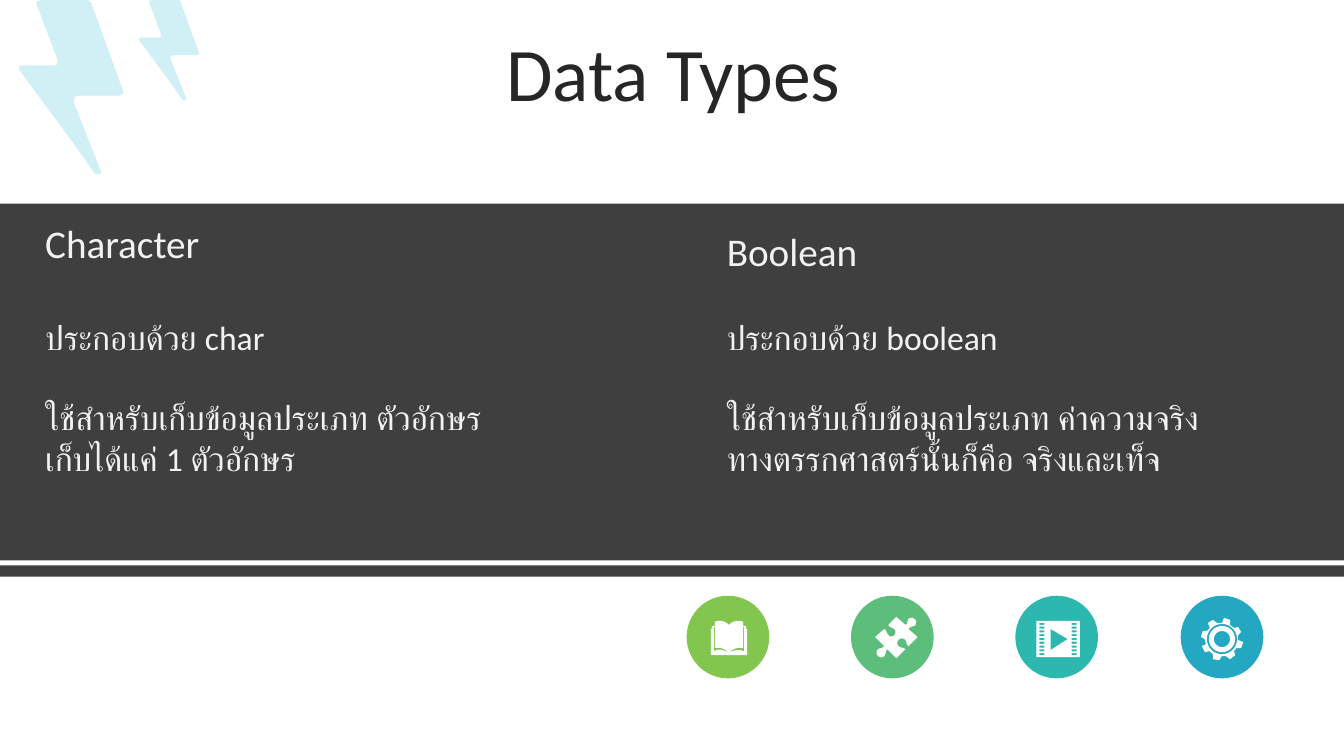
from dataclasses import dataclass
from math import cos, radians, sin

from pptx import Presentation
from pptx.dml.color import RGBColor
from pptx.enum.shapes import MSO_SHAPE
from pptx.enum.text import MSO_ANCHOR, PP_ALIGN
from pptx.util import Pt

PX = 9144  # EMU in one px, 100 px to the inch
FONT = "Calibri"
DARK, WHITE, LIGHT_TEXT, BOLT_BLUE = "3F3F3F", "FFFFFF", "F2F2F2", "D0F0F6"
CURVE_STEPS = 5

# A contour is a list of steps: (x, y) is a corner, six numbers are a cubic curve.
Contour = list[tuple[float, ...]]


@dataclass
class Bolt:
    left: int
    scale: float


@dataclass
class Icon:
    color: str
    contours: list[Contour]


@dataclass
class DataType:
    left: int
    heading_top: int
    heading: str
    details: list[str]


def emu(px: float) -> int:
    return round(px * PX)


def paint(shape, color: str) -> None:
    shape.shadow.inherit = False
    shape.fill.solid()
    shape.fill.fore_color.rgb = RGBColor.from_string(color)
    shape.line.fill.background()


def add_preset(slide, kind, left: int, top: int, width: int, height: int, color: str) -> None:
    paint(slide.shapes.add_shape(kind, emu(left), emu(top), emu(width), emu(height)), color)


def flatten(contour: Contour) -> list[tuple[float, float]]:
    """Turn the curves of a contour into short straight segments."""
    points = [contour[0]]
    for step in contour[1:]:
        if len(step) == 2:
            points.append(step)
            continue
        x0, y0 = points[-1]
        x1, y1, x2, y2, x3, y3 = step
        for index in range(1, CURVE_STEPS + 1):
            t = index / CURVE_STEPS
            a, b, c, d = (1 - t) ** 3, 3 * t * (1 - t) ** 2, 3 * t * t * (1 - t), t ** 3
            points.append((a * x0 + b * x1 + c * x2 + d * x3,
                           a * y0 + b * y1 + c * y2 + d * y3))
    return points


def add_outline(slide, contours: list[Contour], color: str, left: int = 0, scale: float = 1) -> None:
    """Draw contours as one shape; a contour inside another one is a hole."""
    outlines = [[(emu(left + x * scale), emu(y * scale)) for x, y in flatten(contour)]
                for contour in contours]
    builder = slide.shapes.build_freeform(*outlines[0][0], scale=1.0)
    for index, points in enumerate(outlines):
        if index:
            builder.move_to(*points[0])
        builder.add_line_segments(points[1:], close=True)
    paint(builder.convert_to_shape(), color)


def add_text(slide, left: int, top: int, width: int, height: int,
             lines: list[str], size: int, color: str, gap: int = 0):
    box = slide.shapes.add_textbox(emu(left), emu(top), emu(width), emu(height))
    frame = box.text_frame
    frame.word_wrap = True
    for index, line in enumerate(lines):
        paragraph = frame.add_paragraph() if index else frame.paragraphs[0]
        paragraph.text = line
        if index:
            paragraph.space_before = Pt(gap)
        paragraph.font.name = FONT
        paragraph.font.size = Pt(size)
        paragraph.font.color.rgb = RGBColor.from_string(color)
    return frame


def rectangle(left: float, top: float, width: float, height: float) -> Contour:
    right, bottom = left + width, top + height
    return [(left, top), (right, top), (right, bottom), (left, bottom)]


def circle(x: float, y: float, radius: float) -> Contour:
    return [(x + radius * cos(radians(angle)), y + radius * sin(radians(angle)))
            for angle in range(0, 360, 10)]


BOLT_SHAPE: Contour = [
    (44, 0), (66, 0), (70, 1), (72, 4), (103, 90), (103, 93), (99, 95), (59, 95),
    (55, 96), (54, 101), (80, 167), (81, 169), (81, 172), (79, 173), (75, 172),
    (53, 141), (2, 72), (0, 69), (0, 66), (2, 65), (5, 65), (34, 65), (38, 64),
    (38, 59), (18, 6), (17, 2), (22, 0),
]
BOLTS = [Bolt(19, 1), Bolt(138, 0.575)]

BOOK: list[Contour] = [
    [(705, 650), (705, 624), (706, 624), (706, 621), (709, 621), (709, 617),
     (711, 616, 713, 616, 714, 616), (717, 616, 720, 617, 723, 620),
     (726, 617, 729, 616, 732, 616), (733, 616, 735, 616, 737, 617),
     (737, 621), (740, 621), (740, 624), (741, 624), (741, 650)],
    [(709, 622), (708, 622), (708, 646), (714, 643, 717, 645, 723, 647),
     (718, 643, 713, 642, 709, 643)],
    [(737, 622), (738, 622), (738, 646), (732, 644, 729, 645, 723, 647),
     (728, 643, 733, 642, 737, 643)],
]
PUZZLE: list[Contour] = [[
    (907, 614), (909, 615, 909, 618, 908, 620), (906, 622, 903, 621, 901, 624),
    (910, 632), (901, 641), (898, 639, 900, 636, 897, 634),
    (895, 633, 893, 633, 891, 635), (890, 636, 889, 639, 891, 641),
    (894, 643, 895, 642, 898, 644), (889, 653), (880, 644),
    (878, 647, 879, 648, 877, 651), (875, 653, 872, 652, 871, 651),
    (869, 649, 869, 647, 870, 645), (872, 642, 875, 644, 877, 641),
    (868, 632), (877, 624), (880, 626, 879, 628, 881, 630),
    (883, 632, 886, 632, 887, 630), (888, 629, 889, 626, 887, 624),
    (884, 622, 883, 623, 881, 620), (889, 612), (898, 620),
    (901, 618, 899, 617, 901, 614), (903, 612, 906, 613, 907, 614),
]]
FILM: list[Contour] = [
    rectangle(1028, 616, 43, 36),
    [(1042, 624), (1042, 645), (1059, 634)],
    *[rectangle(left, 618 + row * 3.75, 5, 2) for left in (1031, 1063) for row in range(9)],
]
GEAR: list[Contour] = [
    [(1214, 613), (1220, 615), (1220, 620), (1224, 623), (1228, 622), (1231, 627),
     (1228, 630), (1228, 635), (1233, 637), (1231, 643), (1226, 643), (1224, 646),
     (1225, 650), (1220, 654), (1216, 651), (1212, 651), (1209, 655), (1203, 654),
     (1203, 649), (1200, 646), (1195, 647), (1192, 641), (1196, 639), (1195, 634),
     (1191, 632), (1193, 626), (1197, 626), (1200, 623), (1198, 618), (1203, 615),
     (1207, 618), (1212, 618)],
    *[circle(1212, 634, radius) for radius in (15, 13, 8)],
]
ICONS = [Icon("82C650", BOOK), Icon("5CBE7A", PUZZLE), Icon("2CB8AE", FILM), Icon("24A8C2", GEAR)]

DATA_TYPES = [
    DataType(35, 213, "Character",
             ["ประกอบด้วย char",
              "ใช้สำหรับเก็บข้อมูลประเภท ตัวอักษร\vเก็บได้แค่ 1 ตัวอักษร"]),
    DataType(711, 221, "Boolean",
             ["ประกอบด้วย boolean",
              "ใช้สำหรับเก็บข้อมูลประเภท ค่าความจริงทางตรรกศาสตร์นั้นก็คือ จริงและเท็จ"]),
]


def main() -> None:
    presentation = Presentation()
    presentation.slide_width, presentation.slide_height = emu(1333), emu(750)
    slide = presentation.slides.add_slide(presentation.slide_layouts[6])

    for bolt in BOLTS:
        add_outline(slide, [BOLT_SHAPE], BOLT_BLUE, bolt.left, bolt.scale)
    for top, height in ((561, 11), (202, 354)):
        add_preset(slide, MSO_SHAPE.RECTANGLE, 0, top, 1333, height, DARK)
    for index, icon in enumerate(ICONS):
        add_preset(slide, MSO_SHAPE.OVAL, 681 + index * 490 // 3, 591, 82, 82, icon.color)
        add_outline(slide, icon.contours, WHITE)

    title = add_text(slide, 35, 37, 1266, 79, ["Data Types"], 54, "262626")
    title.vertical_anchor = MSO_ANCHOR.MIDDLE
    title.paragraphs[0].alignment = PP_ALIGN.CENTER
    title.paragraphs[0].line_spacing = 0.9
    for data_type in DATA_TYPES:
        add_text(slide, data_type.left, data_type.heading_top, 522, 57,
                 [data_type.heading], 28, LIGHT_TEXT)
        add_text(slide, data_type.left, 309, 522, 172, data_type.details, 24, LIGHT_TEXT, gap=29)

    presentation.save("out.pptx")


if __name__ == "__main__":
    main()
